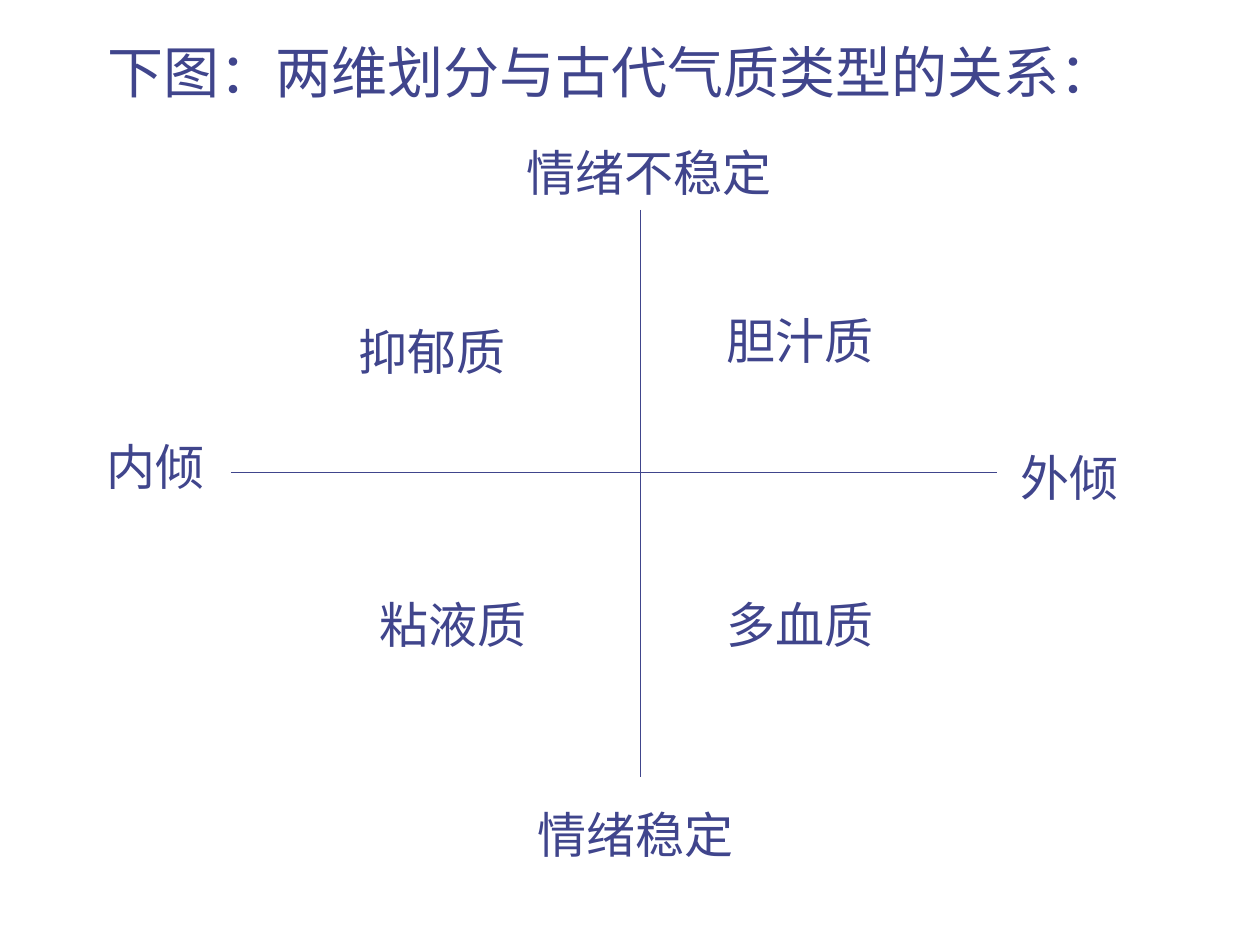
from dataclasses import dataclass

from lxml.etree import SubElement
from pptx import Presentation
from pptx.dml.color import RGBColor
from pptx.enum.shapes import MSO_CONNECTOR
from pptx.enum.text import MSO_ANCHOR, MSO_AUTO_SIZE, PP_ALIGN
from pptx.oxml.ns import qn
from pptx.util import Pt


@dataclass(frozen=True)
class Theme:
    ink: RGBColor = RGBColor(0x40, 0x45, 0x8C)
    paper: RGBColor = RGBColor(0xFF, 0xFF, 0xFF)
    font: str = "Times New Roman"
    title_size: float = 32
    label_size: float = 28
    axis_width: float = 0.75


@dataclass(frozen=True)
class Box:
    left: float
    top: float
    width: float
    height: float


THEME = Theme()
LABEL_HEIGHT = 41


def write_text(frame, text, size=THEME.label_size, space_before=17.5,
               auto_size=MSO_AUTO_SIZE.SHAPE_TO_FIT_TEXT):
    frame.word_wrap = True
    frame.auto_size = auto_size
    frame.vertical_anchor = MSO_ANCHOR.TOP
    paragraph = frame.paragraphs[0]
    paragraph.alignment = PP_ALIGN.LEFT
    paragraph.space_before = Pt(space_before)
    run = paragraph.add_run()
    run.text = text
    run.font.name = THEME.font
    run.font.size = Pt(size)
    run.font.color.rgb = THEME.ink


def place_title(title, box):
    title.left, title.top = Pt(box.left), Pt(box.top)
    title.width, title.height = Pt(box.width), Pt(box.height)
    write_text(title.text_frame, "下图：两维划分与古代气质类型的关系：",
               size=THEME.title_size, space_before=8,
               auto_size=MSO_AUTO_SIZE.NONE)


def draw_axis(shapes, start, end):
    axis = shapes.add_connector(
        MSO_CONNECTOR.STRAIGHT, *(Pt(value) for value in (*start, *end)))
    axis.line.color.rgb = THEME.ink
    axis.line.width = Pt(THEME.axis_width)
    SubElement(axis._element.spPr, qn("a:effectLst"))


def draw_temperament_map(slide, box):
    shapes = slide.shapes.add_group_shape().shapes
    center_x, center_y = box.left + 312, box.top + 192
    draw_axis(shapes, (box.left + 78, center_y), (box.left + 516, center_y))
    draw_axis(shapes, (center_x, box.top + 42), (center_x, box.top + 366))

    labels = (
        ("情绪稳定", 246, 378, 138),
        ("外倾", 522, 174, 72),
        ("内倾", 0, 168, 72),
        ("情绪不稳定", 240, 0, 168),
        ("抑郁质", 144, 102, 138),
        ("胆汁质", 354, 96, 138),
        ("多血质", 354, 258, 138),
        ("粘液质", 156, 258, 120),
    )
    for text, x, y, width in labels:
        label = shapes.add_textbox(Pt(box.left + x), Pt(box.top + y),
                                   Pt(width), Pt(LABEL_HEIGHT))
        write_text(label.text_frame, text)


def main():
    presentation = Presentation()
    presentation.slide_width, presentation.slide_height = Pt(720), Pt(540)
    slide = presentation.slides.add_slide(presentation.slide_layouts[5])
    background = slide.background.fill
    background.solid()
    background.fore_color.rgb = THEME.paper
    place_title(slide.shapes.title, Box(54, 18, 612, 498))
    draw_temperament_map(slide, Box(54, 78, 594, 419))
    presentation.save("out.pptx")


if __name__ == "__main__":
    main()
